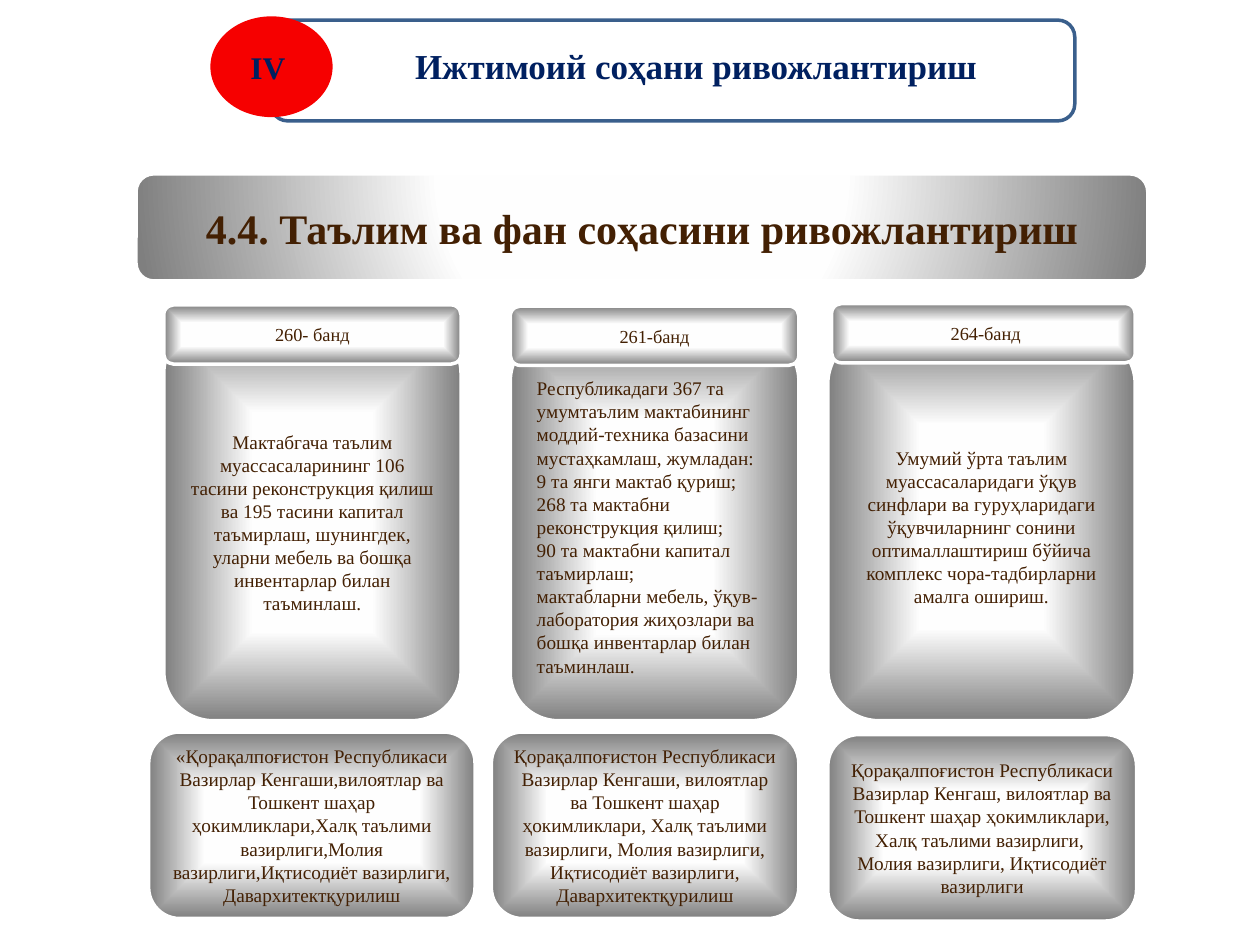
from lxml.etree import SubElement
from pptx import Presentation
from pptx.dml.color import RGBColor
from pptx.enum.shapes import MSO_SHAPE
from pptx.enum.text import MSO_ANCHOR, MSO_AUTO_SIZE, PP_ALIGN
from pptx.oxml.ns import qn
from pptx.util import Inches, Pt

COLORS = {"brown": "432003", "navy": "002060", "red": "F60000",
          "frame": "3A5F8C", "white": "FFFFFF", "light": "FEFEFE", "gray": "7F7F7F"}
STOPS = [(0, "white"), (40, "light"), (100, "gray")]
CENTERED = (50, 50, 50, 50)
WIDE = (50, -80, 50, 180)

# Each column: header box, header, card box, card lines, agency box, agencies
COLUMNS = [
    ((1.3, 2.42, 2.36, 0.47), "260- банд",
     (1.3, 2.57, 2.36, 3.15),
     ["Мактабгача таълим муассасаларининг 106 тасини реконструкция қилиш ва 195 тасини "
      "капитал таъмирлаш, шунингдек, уларни мебель ва бошқа инвентарлар билан таъминлаш."],
     (1.18, 5.81, 2.59, 1.48),
     "«Қорақалпоғистон Республикаси Вазирлар Кенгаши,вилоятлар ва Тошкент шаҳар "
     "ҳокимликлари,Халқ таълими вазирлиги,Молия вазирлиги,Иқтисодиёт вазирлиги, "
     "Давархитектқурилиш"),
    ((4.05, 2.43, 2.29, 0.47), "261-банд",
     (4.05, 2.64, 2.29, 3.08),
     ["Республикадаги 367 та умумтаълим мактабининг моддий-техника базасини "
      "мустаҳкамлаш, жумладан:",
      "9 та янги мактаб қуриш;",
      "268 та мактабни реконструкция қилиш;",
      "90 та мактабни капитал таъмирлаш;",
      "мактабларни мебель, ўқув-лаборатория жиҳозлари ва бошқа инвентарлар билан "
      "таъминлаш."],
     (3.9, 5.81, 2.44, 1.48),
     "Қорақалпоғистон Республикаси Вазирлар Кенгаши, вилоятлар ва Тошкент шаҳар "
     "ҳокимликлари, Халқ таълими вазирлиги, Молия вазирлиги, Иқтисодиёт вазирлиги, "
     "Давархитектқурилиш"),
    ((6.6, 2.41, 2.41, 0.47), " 264-банд",
     (6.57, 2.64, 2.44, 3.08),
     ["Умумий ўрта таълим муассасаларидаги ўқув синфлари ва гуруҳларидаги "
      "ўқувчиларнинг сонини оптималлаштириш бўйича комплекс чора-тадбирларни амалга "
      "ошириш."],
     (6.57, 5.83, 2.45, 1.48),
     "Қорақалпоғистон Республикаси Вазирлар Кенгаш, вилоятлар ва Тошкент шаҳар "
     "ҳокимликлари, Халқ таълими вазирлиги, \vМолия вазирлиги, Иқтисодиёт вазирлиги"),
]


def rgb(name):
    """Return the named colour."""
    return RGBColor.from_string(COLORS[name])


def write(shape, lines, size=11, color="brown", bold=False, align=PP_ALIGN.CENTER):
    """Put one formatted paragraph per line into a shape."""
    frame = shape.text_frame
    frame.word_wrap = True
    frame.auto_size = MSO_AUTO_SIZE.NONE
    frame.vertical_anchor = MSO_ANCHOR.MIDDLE
    for index, line in enumerate(lines):
        paragraph = frame.add_paragraph() if index else frame.paragraphs[0]
        paragraph.text = line
        paragraph.alignment = align
        for run in paragraph.runs:
            run.font.name = "Times New Roman"
            run.font.size = Pt(size)
            run.font.bold = bold
            run.font.color.rgb = rgb(color)


def add_box(slide, box, kind=MSO_SHAPE.ROUNDED_RECTANGLE, fill=None, line=None):
    """Add a shape without shadow; fill and line are optional colour names."""
    shape = slide.shapes.add_shape(kind, *map(Inches, box))
    shape.shadow.inherit = False
    if fill:
        shape.fill.solid()
        shape.fill.fore_color.rgb = rgb(fill)
    else:
        shape.fill.background()
    if line:
        shape.line.color.rgb = rgb(line)
        shape.line.width = Pt(2)
    else:
        shape.line.fill.background()
    return shape


def add_panel(slide, box, lines, path="shape", focus=CENTERED, **text_format):
    """Add a rounded panel with a gradient that darkens towards its edge."""
    panel = add_box(slide, box, line="white")
    properties = panel._element.spPr
    gradient = properties.makeelement(qn("a:gradFill"), {"rotWithShape": "1"})
    stops = SubElement(gradient, qn("a:gsLst"))
    for percent, color in STOPS:
        stop = SubElement(stops, qn("a:gs"), pos=str(percent * 1000))
        SubElement(stop, qn("a:srgbClr"), val=COLORS[color])
    sides = {side: str(value * 1000) for side, value in zip("ltrb", focus)}
    SubElement(SubElement(gradient, qn("a:path"), path=path), qn("a:fillToRect"), sides)
    properties.replace(properties.find(qn("a:noFill")), gradient)
    write(panel, lines, **text_format)


def add_heading(slide, left, top):
    """Place the framed slide title with its numbered badge."""
    title = slide.shapes.title
    title.left, title.top = Inches(left + 1.12), Inches(top + 0.17)
    title.width, title.height = Inches(5.37), Inches(0.44)
    write(title, ["Ижтимоий соҳани ривожлантириш"], size=20, color="navy", bold=True)
    title.text_frame.paragraphs[0]._p.get_or_add_pPr().set("marL", str(Inches(0.1)))
    add_box(slide, (left + 0.48, top + 0.03, 6.38, 0.8), line="frame")
    badge = add_box(slide, (left, top, 0.97, 0.8), kind=MSO_SHAPE.OVAL, fill="red")
    write(badge, ["IV "], size=18, color="navy", bold=True)


def add_column(slide, header_box, header, card_box, measures, agency_box, agencies):
    """Place one clause: its card, the header over it and the agencies below."""
    align = PP_ALIGN.LEFT if len(measures) > 1 else PP_ALIGN.CENTER
    add_panel(slide, card_box, measures, align=align)
    add_panel(slide, agency_box, [agencies])
    add_panel(slide, header_box, [header], size=10.5)


def main():
    """Build and save the slide."""
    deck = Presentation()
    deck.slide_width, deck.slide_height = Inches(10), Inches(7.5)
    slide = deck.slides.add_slide(deck.slide_layouts[5])
    add_panel(slide, (1.08, 1.38, 8.03, 0.85),
              ["4.4. Таълим ва фан соҳасини ривожлантириш"],
              path="circle", focus=WIDE, size=24, bold=True)
    for column in COLUMNS:
        add_column(slide, *column)
    add_heading(slide, 1.67, 0.13)
    deck.save("out.pptx")


main()
